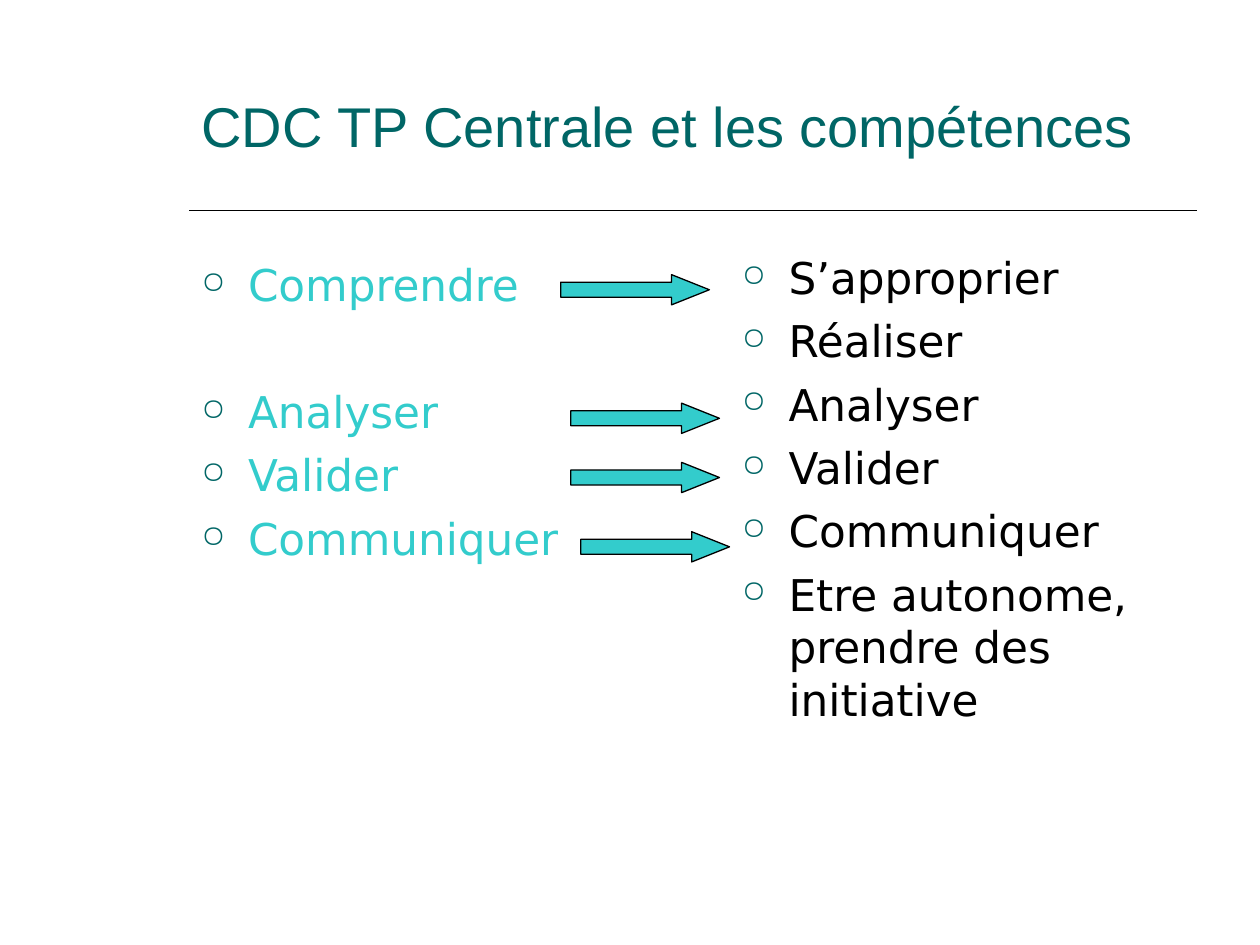
from lxml import etree
from pptx import Presentation
from pptx.dml.color import RGBColor
from pptx.enum.shapes import MSO_CONNECTOR, MSO_SHAPE
from pptx.enum.text import MSO_ANCHOR
from pptx.oxml.ns import qn
from pptx.util import Inches, Pt

STRAIGHT = MSO_CONNECTOR.STRAIGHT
RIGHT_ARROW = MSO_SHAPE.RIGHT_ARROW
TOP, BOTTOM = MSO_ANCHOR.TOP, MSO_ANCHOR.BOTTOM

COLORS = {"dark": "006666", "light": "33CCCC", "black": "000000"}

TITLE = "CDC TP Centrale et les compétences"
ITEM_GAP = 6.2
SKIPPED_ROW_GAP = 42.4  # leaves one row free facing "Réaliser"

# Each item: text, space before in points
OLD_SKILLS = [
    ("Comprendre", 0),
    ("Analyser", SKIPPED_ROW_GAP),
    ("Valider", ITEM_GAP),
    ("Communiquer", ITEM_GAP),
]
NEW_SKILLS = [
    ("S’approprier", 0),
    ("Réaliser", ITEM_GAP),
    ("Analyser", ITEM_GAP),
    ("Valider", ITEM_GAP),
    ("Communiquer", ITEM_GAP),
    ("Etre autonome, prendre des initiative", ITEM_GAP),
]
ARROW_POSITIONS = [(4.45, 2.18), (4.53, 3.2), (4.53, 3.67), (4.61, 4.22)]
ARROW_SIZE = (1.18, 0.24)


def rgb(name):
    return RGBColor.from_string(COLORS[name])


def add_bullet(paragraph):
    properties = paragraph._p.get_or_add_pPr()
    indent = Inches(0.37)
    properties.set("marL", str(indent))
    properties.set("indent", str(-indent))
    color = etree.SubElement(properties, qn("a:buClr"))
    etree.SubElement(color, qn("a:srgbClr"), val=COLORS["dark"])
    etree.SubElement(properties, qn("a:buSzPct"), val="70000")
    etree.SubElement(properties, qn("a:buChar"), char="○")


def add_text(slide, items, box, *, font, size, color, anchor=TOP, bullets=False):
    shape = slide.shapes.add_textbox(*map(Inches, box))
    frame = shape.text_frame
    frame.word_wrap = True
    frame.vertical_anchor = anchor
    for index, (text, space_before) in enumerate(items):
        paragraph = frame.add_paragraph() if index else frame.paragraphs[0]
        if bullets:
            add_bullet(paragraph)
        if space_before:
            paragraph.space_before = Pt(space_before)
        run = paragraph.add_run()
        run.text = text
        run.font.name = font
        run.font.size = Pt(size)
        run.font.color.rgb = rgb(color)


def add_rule(slide, left, right, top):
    rule = slide.shapes.add_connector(
        STRAIGHT, Inches(left), Inches(top), Inches(right), Inches(top))
    rule.line.color.rgb = rgb("black")
    rule.line.width = Pt(1)
    etree.SubElement(rule._element.spPr, qn("a:effectLst"))


def add_arrow(slide, position):
    arrow = slide.shapes.add_shape(RIGHT_ARROW, *map(Inches, position + ARROW_SIZE))
    arrow.shadow.inherit = False
    arrow.adjustments[0] = 0.5
    arrow.adjustments[1] = 1.25
    arrow.fill.solid()
    arrow.fill.fore_color.rgb = rgb("light")
    arrow.line.color.rgb = rgb("black")
    arrow.line.width = Pt(0.75)


def main():
    presentation = Presentation()
    presentation.slide_width = Inches(10)
    presentation.slide_height = Inches(7.5)
    slide = presentation.slides.add_slide(presentation.slide_layouts[6])

    add_rule(slide, 1.5, 9.5, 1.67)
    add_text(slide, [(TITLE, 0)], (1.5, 0.33, 8, 0.98),
             font="Arial", size=32, color="dark", anchor=BOTTOM)
    list_format = {"font": "DejaVu Sans", "size": 25, "bullets": True}
    add_text(slide, OLD_SKILLS, (1.5, 2, 3.91, 4.5), color="light", **list_format)
    add_text(slide, NEW_SKILLS, (5.79, 1.94, 3.92, 4.5), color="black", **list_format)
    for position in ARROW_POSITIONS:
        add_arrow(slide, position)

    presentation.save("out.pptx")


if __name__ == "__main__":
    main()
